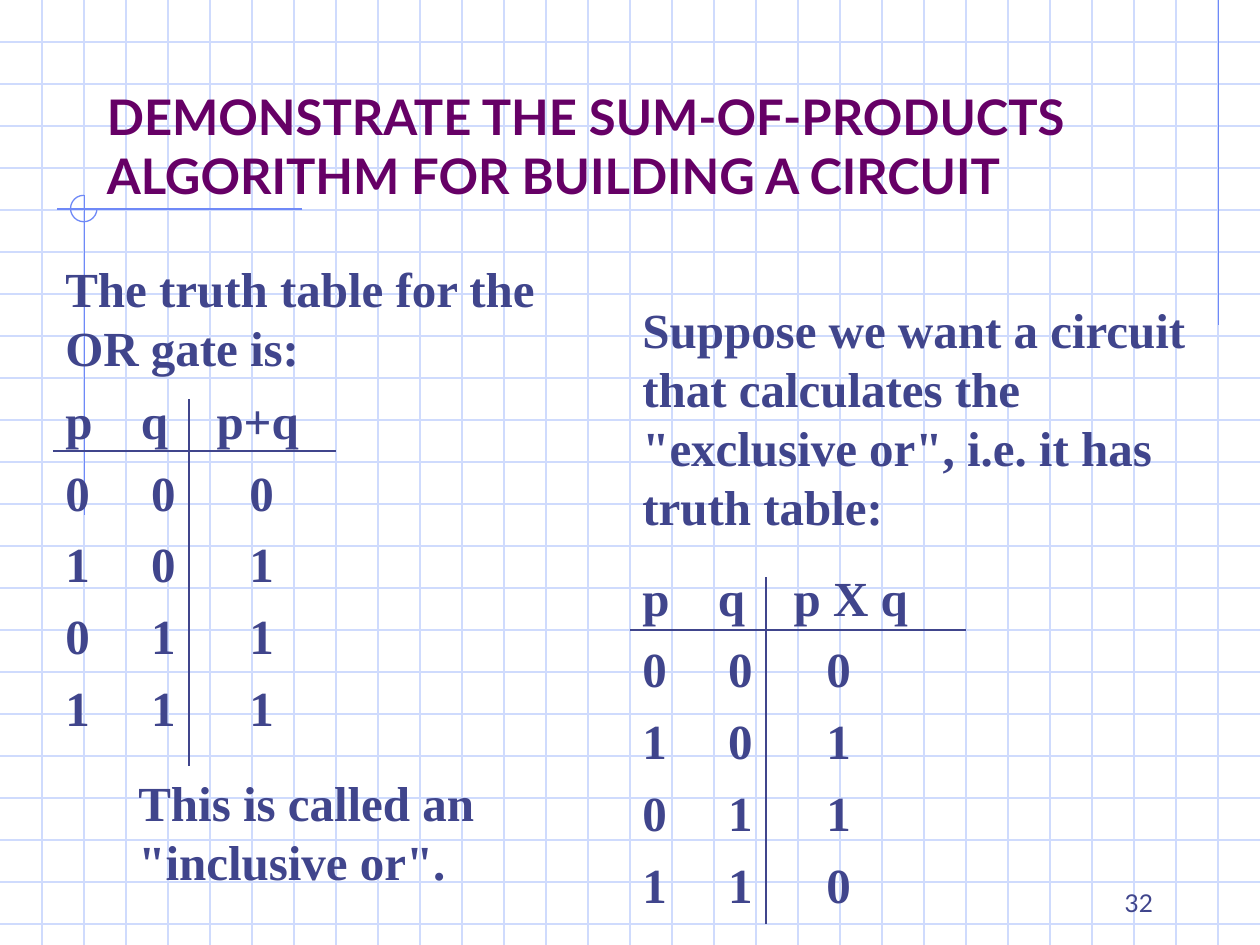
import pptx
import pptx.dml.color
import pptx.enum.shapes
import pptx.enum.text
import pptx.util
from lxml import etree
from pptx.oxml.ns import qn

Inches, Pt = pptx.util.Inches, pptx.util.Pt
SHAPE = pptx.enum.shapes.MSO_SHAPE
ALIGN = pptx.enum.text.PP_ALIGN
ANCHOR = pptx.enum.text.MSO_ANCHOR

COLORS = {"grid": "CFDBFD", "accent": "6F89F7", "title": "660066", "ink": "40458C"}
WIDTH, HEIGHT, GRID_STEP = 10, 7.5, 1 / 3
HEADER_TABS, DIGIT_TABS = (0.6, 1.2), (0.68, 1.46)


def rgb(name):
    return pptx.dml.color.RGBColor.from_string(COLORS[name])


def add_line(s, x1, y1, x2, y2, color):
    line = s.shapes.add_connector(
        pptx.enum.shapes.MSO_CONNECTOR.STRAIGHT,
        Inches(x1), Inches(y1), Inches(x2), Inches(y2))
    line.line.color.rgb = rgb(color)
    line.line.width = Pt(0.75)
    etree.SubElement(line._element.spPr, qn("a:effectLst"))


def add_box(s, left, top, width, height, anchor=ANCHOR.TOP):
    sp = s.shapes.add_textbox(Inches(left), Inches(top), Inches(width), Inches(height))
    tf = sp.text_frame
    tf.word_wrap = True
    tf.vertical_anchor = anchor
    return tf


def add_text(tf, text, size=28, font="Times New Roman", color="ink", bold=True):
    """Fill the empty first paragraph of the box, or append a spaced one."""
    p = tf.paragraphs[0]
    if p.runs:
        p = tf.add_paragraph()
        p.space_before = Pt(17.5)
    r = p.add_run()
    r.text = text
    r.font.size, r.font.name, r.font.bold = Pt(size), font, bold
    r.font.color.rgb = rgb(color)
    return p


def set_tabs(p, stops):
    tabs = etree.SubElement(p._p.get_or_add_pPr(), qn("a:tabLst"))
    for stop in stops:
        etree.SubElement(tabs, qn("a:tab"), pos=str(Inches(stop)), algn="l")


def add_truth_table(tf, result, outputs):
    rows = [("p", "q", result)]
    rows += [(*pq, out) for pq, out in zip(("00", "10", "01", "11"), outputs)]
    for i, row in enumerate(rows):
        p = add_text(tf, "\t".join(row))
        p.line_spacing = 0.7
        set_tabs(p, DIGIT_TABS if i else HEADER_TABS)


def add_background(s):
    for i in range(1, int(HEIGHT / GRID_STEP) + 1):
        add_line(s, 0, i * GRID_STEP, WIDTH, i * GRID_STEP, "grid")
    for i in range(1, round(WIDTH / GRID_STEP)):
        add_line(s, i * GRID_STEP, 0, i * GRID_STEP, HEIGHT, "grid")
    add_line(s, 9.67, 0, 9.67, 2.58, "accent")
    add_line(s, 2.4, 1.66, 0.45, 1.66, "accent")
    add_line(s, 0.67, 1.55, 0.67, 4.09, "accent")
    arc = s.shapes.add_shape(SHAPE.ARC, Inches(0.56), Inches(1.55), Inches(0.21), Inches(0.21))
    arc.adjustments[0], arc.adjustments[1] = 0, 162  # three quarters of a turn
    arc.shadow.inherit = False
    arc.fill.background()
    arc.line.color.rgb = rgb("accent")
    arc.line.width = Pt(0.75)


def add_title(s, left, top, width, height):
    tf = add_box(s, left, top, width, height, ANCHOR.BOTTOM)
    add_text(tf, "DEMONSTRATE THE SUM-OF-PRODUCTS ALGORITHM FOR BUILDING A CIRCUIT",
             font="Lato", color="title")


def add_inclusive_or(s, left, top):
    tf = add_box(s, left, top, 4.58, 3.89)
    add_text(tf, "The truth table for the OR gate is:")
    add_truth_table(tf, "p+q", "0111")
    add_line(s, left, top + 1.58, left + 2.25, top + 1.58, "ink")
    add_line(s, left + 1.08, top + 1.17, left + 1.08, top + 4.08, "ink")
    note = add_box(s, left + 0.58, top + 4.08, 3.67, 1.04)
    add_text(note, 'This is called an "inclusive or".')


def add_exclusive_or(s, left, top):
    intro = add_box(s, left, top, 4.83, 1.97)
    add_text(intro, "Suppose we want a circuit that calculates the "
                    '"exclusive or", i.e. it has truth table:')
    table_top = top + 2.25
    add_truth_table(add_box(s, left, table_top, 3.67, 2.71), "p X q", "0110")
    add_line(s, left, table_top + 0.42, left + 2.67, table_top + 0.42, "ink")
    add_line(s, left + 1.08, table_top, left + 1.08, table_top + 2.75, "ink")


def add_page_number(s, left, top, width, height):
    tf = add_box(s, left, top, width, height, ANCHOR.BOTTOM)
    p = add_text(tf, "32", 14, "Lato", bold=False)
    p.alignment = ALIGN.RIGHT


def main():
    prs = pptx.Presentation()
    prs.slide_width, prs.slide_height = Inches(WIDTH), Inches(HEIGHT)
    s = prs.slides.add_slide(prs.slide_layouts[6])
    add_background(s)
    add_title(s, 0.75, 0.42, 8.5, 1.25)
    add_inclusive_or(s, 0.42, 2)
    add_exclusive_or(s, 5, 2.33)
    add_page_number(s, 7.17, 6.83, 2.08, 0.5)
    prs.save("out.pptx")


if __name__ == "__main__":
    main()
